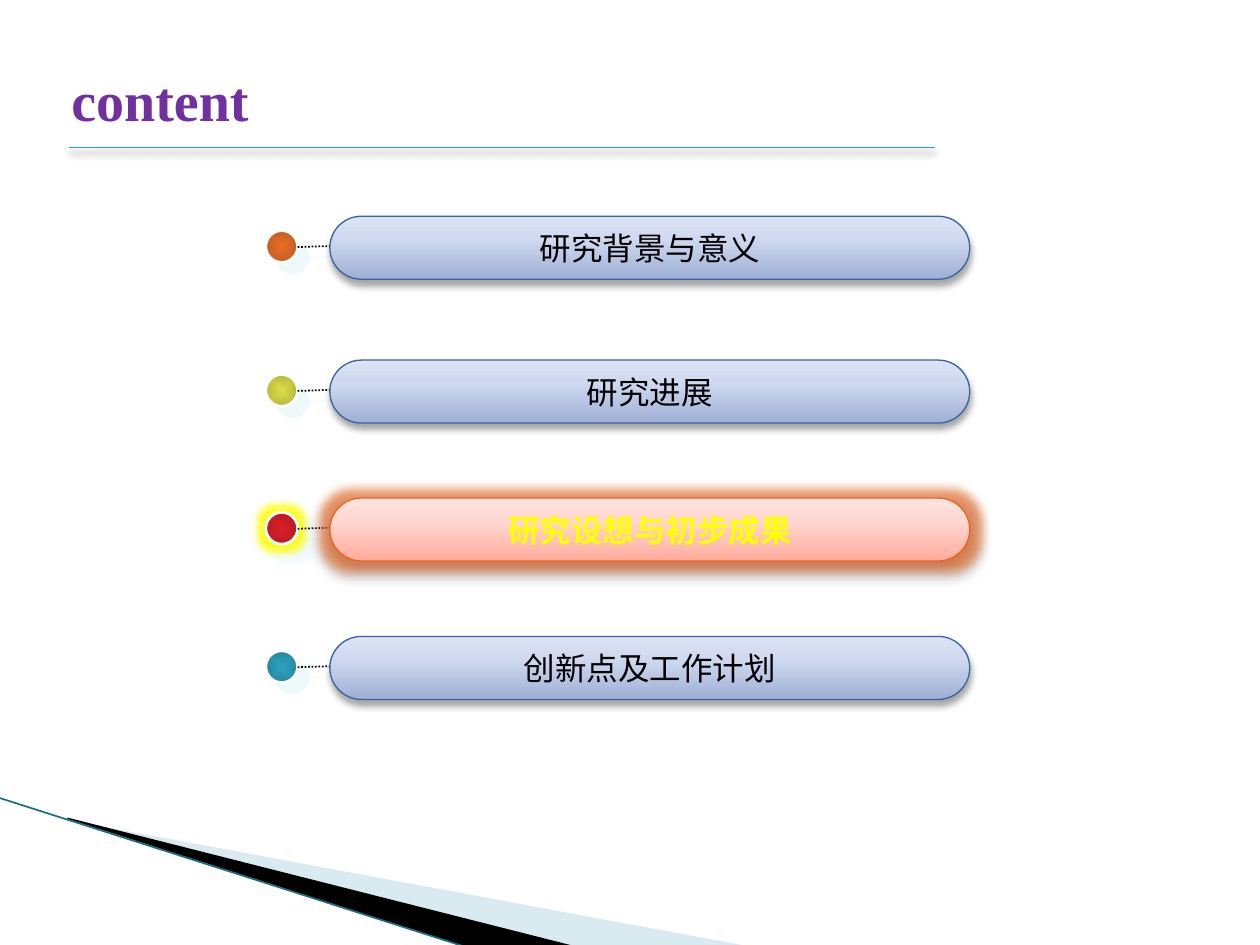
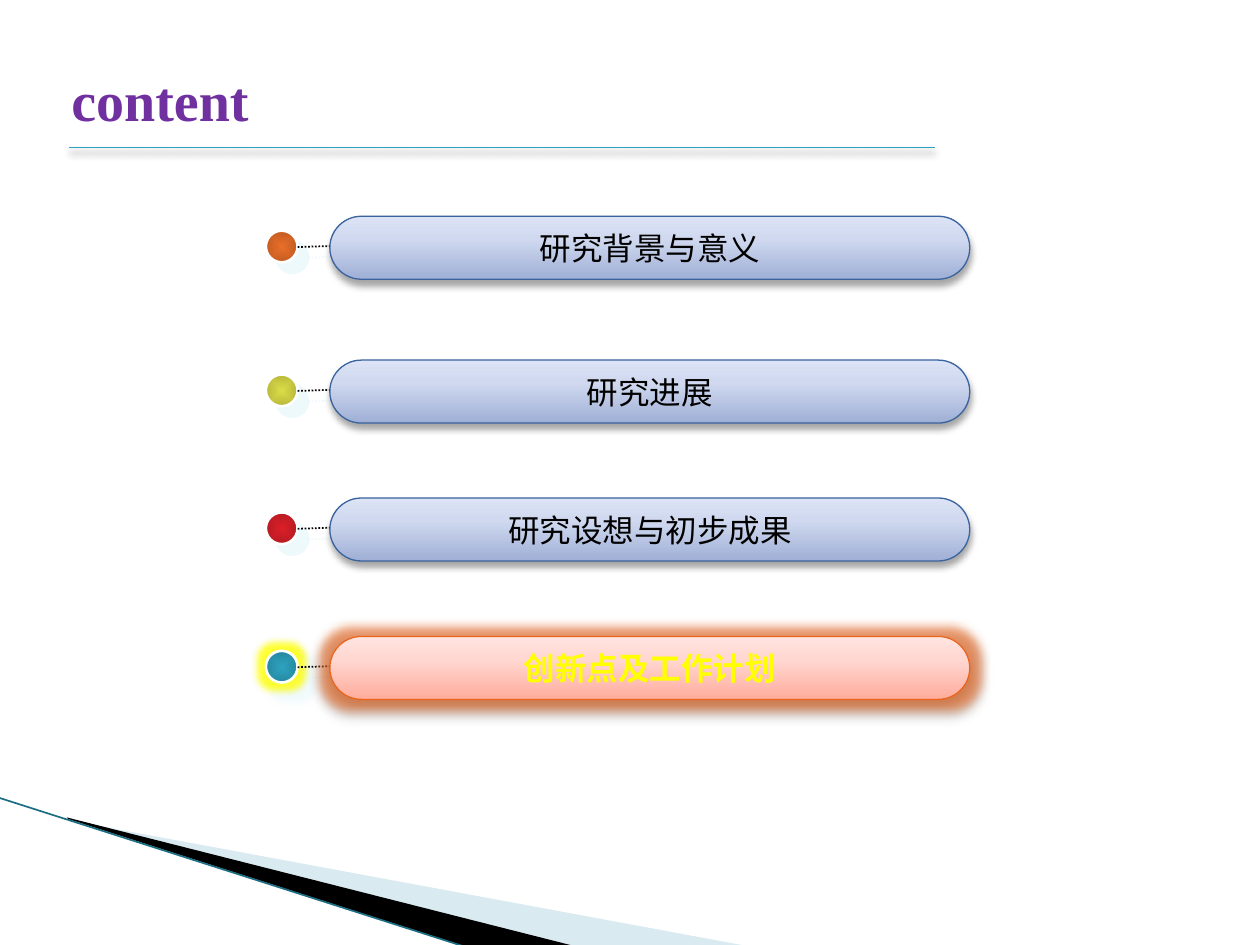
from dataclasses import dataclass
from typing import Any

from lxml.etree import SubElement
from pptx import Presentation
from pptx.dml.color import RGBColor
from pptx.enum.dml import MSO_LINE_DASH_STYLE as Dash
from pptx.enum.shapes import MSO_CONNECTOR as Conn, MSO_SHAPE as Kind
from pptx.enum.text import MSO_ANCHOR as Anchor, PP_ALIGN as Align
from pptx.oxml.ns import qn
from pptx.util import Cm, Pt


@dataclass(frozen=True)
class Row:
    text: str
    top: float
    core: str
    edge: str


@dataclass(frozen=True)
class Look:
    stops: tuple
    line: str
    ink: str
    bold: bool


@dataclass(frozen=True)
class Wedge:
    color: str
    alpha: int
    points: tuple


@dataclass(frozen=True)
class Shade:
    color: str
    alpha: int
    blur: float = 0
    dist: float = 0
    angle: int = 0


ROWS = (
    Row("研究背景与意义", 4.36, "E96E29", "C35C22"),
    Row("研究进展", 7.26, "DCDC48", "B8B83C"),
    Row("研究设想与初步成果", 10.04, "DA1F28", "B71A22"),
    Row("创新点及工作计划", 12.83, "2DA2BF", "2688A0"),
)
PLAIN = Look(((0, "9FAFD6"), (65, "D0D9EF"), (100, "DCE3F6")), "39639D", "000000", False)
ACTIVE = Look(((0, "FFAC9C"), (65, "FFD8D2"), (100, "FFE4DF")), "EB641B", "FFFF00", True)
WEDGES = (
    Wedge("A0CBDC", 40, ((1.4, 16.54), (15.11, 19.08), (11.58, 19.08), (1.4, 16.51))),
    Wedge("000000", 100, ((1.35, 16.48), (11.61, 19.08), (9.45, 19.1), (1.37, 16.51))),
)
MIST = Shade("DEF5FA", 50, 0, 8.5, 45)
BAR_SHADE = Shade("000000", 35, 4, 3, 90)
RULE_SHADE = Shade("000000", 40, 4, 3, 90)
BAR_GLOW = Shade("EB641B", 60, 11)
DOT_GLOW = Shade("FFFF00", 80, 8)
DOT_LEFT, DOT_SIZE, DOT_DROP = 5.36, 0.64, 0.29
BAR_LEFT, BAR_WIDTH, BAR_HEIGHT = 6.65, 12.9, 1.27
LINK_END, LINK_DROP, LINK_RISE = 6.96, 0.62, 0.03


def paint(color: Any, value: str) -> None:
    color.rgb = RGBColor.from_string(value)


def apply(target: Any, color: str, **values: Any) -> None:
    for name, value in values.items():
        setattr(target, name, value)
    paint(target.color, color)


def tint(parent: Any, value: str, alpha: int) -> None:
    color = SubElement(parent, qn("a:srgbClr"), val=value)
    SubElement(color, qn("a:alpha"), val=str(alpha * 1000))


def effect(shape: Any, shade: Shade | None = None, glow: Shade | None = None) -> None:
    items = SubElement(shape.element.spPr, qn("a:effectLst"))
    if glow:
        node = SubElement(items, qn("a:glow"), rad=str(Pt(glow.blur)))
        tint(node, glow.color, glow.alpha)
    if shade:
        node = SubElement(
            items, qn("a:outerShdw"), blurRad=str(Pt(shade.blur)),
            dist=str(Pt(shade.dist)), dir=str(shade.angle * 60000), rotWithShape="0",
        )
        tint(node, shade.color, shade.alpha)


def blend(shape: Any, stops: tuple, round_fill: bool = False) -> None:
    props = shape.element.spPr
    fill = SubElement(props, qn("a:gradFill"), rotWithShape="1")
    props.find(qn("a:prstGeom")).addnext(fill)
    items = SubElement(fill, qn("a:gsLst"))
    for place, color in stops:
        stop = SubElement(items, qn("a:gs"), pos=str(place * 1000))
        tint(stop, color, 100)
    if round_fill:
        route = SubElement(fill, qn("a:path"), path="shape")
        SubElement(route, qn("a:fillToRect"), {side: "50000" for side in "ltrb"})
    else:
        SubElement(fill, qn("a:lin"), ang="16200000", scaled="0")


def draw_line(shapes: Any, start: tuple, end: tuple, color: str,
              shade: Shade | None = None, **values: Any) -> None:
    ends = [Cm(value) for value in (*start, *end)]
    line = shapes.add_connector(Conn.STRAIGHT, *ends)
    apply(line.line, color, **values)
    effect(line, shade)


def write(frame: Any, text: str, color: str, **values: Any) -> None:
    part = frame.paragraphs[0]
    run = part.add_run()
    run.text = text
    apply(run.font, color, **values)


def draw_wedge(slide: Any, wedge: Wedge) -> None:
    first, *rest = [(Cm(x), Cm(y)) for x, y in wedge.points]
    path = slide.shapes.build_freeform(*first)
    path.add_line_segments(rest)
    shape = path.convert_to_shape()
    shape.fill.solid()
    paint(shape.fill.fore_color, wedge.color)
    color = shape.element.spPr.find(qn("a:solidFill"))[0]
    SubElement(color, qn("a:alpha"), val=str(wedge.alpha * 1000))
    shape.line.fill.background()
    effect(shape)


def draw_row(slide: Any, row: Row, active: bool) -> None:
    look = ACTIVE if active else PLAIN
    shapes = slide.shapes.add_group_shape().shapes
    dot = shapes.add_shape(Kind.OVAL, Cm(DOT_LEFT), Cm(row.top + DOT_DROP),
                           Cm(DOT_SIZE), Cm(DOT_SIZE))
    blend(dot, ((0, row.core), (100, row.edge)), True)
    apply(dot.line, "FFFFFF", width=Pt(1.5))
    effect(dot, MIST, DOT_GLOW if active else None)

    level = row.top + LINK_DROP
    draw_line(shapes, (DOT_LEFT + DOT_SIZE, level), (LINK_END, level - LINK_RISE),
              "000000", MIST, width=Pt(1), dash_style=Dash.ROUND_DOT)

    bar = shapes.add_shape(Kind.ROUNDED_RECTANGLE, Cm(BAR_LEFT), Cm(row.top),
                           Cm(BAR_WIDTH), Cm(BAR_HEIGHT))
    bar.adjustments[0] = 0.5
    blend(bar, look.stops)
    apply(bar.line, look.line, width=Pt(0.75))
    effect(bar, BAR_SHADE, BAR_GLOW if active else None)
    frame = bar.text_frame
    frame.word_wrap = False
    frame.vertical_anchor = Anchor.MIDDLE
    frame.paragraphs[0].alignment = Align.CENTER
    write(frame, row.text, look.ink, name="Courier New", size=Pt(18), bold=look.bold)


def draw_base(slide: Any) -> None:
    for wedge in WEDGES:
        draw_wedge(slide, wedge)
    draw_line(slide.shapes, (-0.03, 16.08), (9.42, 19.1), "1B6E82", width=Pt(0.95))


def draw_title(slide: Any, text: str) -> None:
    draw_line(slide.shapes, (1.4, 2.97), (18.85, 2.97), "2DA2BF", RULE_SHADE,
              width=Pt(0.75))
    box = slide.shapes.add_textbox(Cm(1.19), Cm(1.19), Cm(5.56), Cm(1.98))
    box.text_frame.word_wrap = True
    write(box.text_frame, text, "7030A0", name="Times New Roman", size=Pt(32), bold=True)


def main() -> None:
    deck = Presentation()
    deck.slide_width, deck.slide_height = Cm(25.4), Cm(19.05)
    for active in (2, 3):
        slide = deck.slides.add_slide(deck.slide_layouts[6])
        draw_base(slide)
        for place, row in enumerate(ROWS):
            draw_row(slide, row, place == active)
        draw_title(slide, "content")
    deck.save("out.pptx")


if __name__ == "__main__":
    main()
